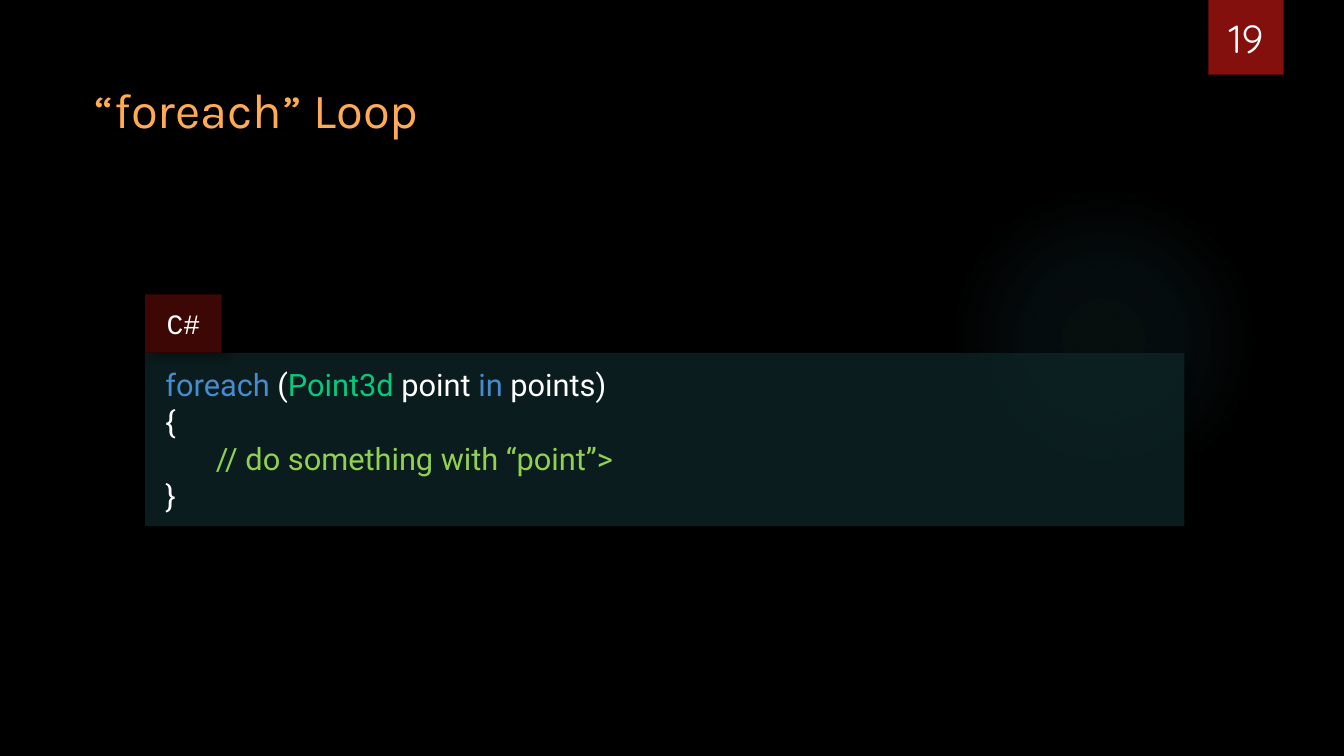
from pptx import Presentation
from pptx import util as u
from pptx.dml.color import RGBColor
from pptx.enum import shapes, text
from pptx.oxml import parse_xml
from pptx.oxml.ns import qn

NS = 'xmlns:a="http://schemas.openxmlformats.org/drawingml/2006/main"'
WHITE, BLUE, TEAL, LIME = "FFFFFF", "468BCE", "04CA7D", "92D050"
PAD = (0.51, 0.3)
CODE = [
    [("foreach", BLUE), (" (", WHITE), ("Point3d", TEAL), (" point ", WHITE),
     ("in", BLUE), (" points)", WHITE)],
    [("{", WHITE)],
    [("\t", WHITE), ("// do something with “point”>", LIME)],
    [("}", WHITE)],
]


def rgb(code):
    """Turn a hex string into a colour."""
    return RGBColor.from_string(code)


def style(run, face, size, color):
    """Set the font of one run."""
    run.font.name, run.font.size = face, u.Pt(size)
    run.font.color.rgb = rgb(color)


def place(shape, box):
    """Move a shape to a box given in centimetres."""
    shape.left, shape.top, shape.width, shape.height = map(u.Cm, box)


def shade(shape, alpha, blur, dist, angle):
    """Give a shape a soft black shadow."""
    shape._element.spPr.append(parse_xml(
        f'<a:effectLst {NS}><a:outerShdw blurRad="{u.Pt(blur)}" dist="{u.Pt(dist)}"'
        f' dir="{angle * 60000}" algn="t" rotWithShape="0"><a:srgbClr val="000000">'
        f'<a:alpha val="{alpha * 1000}"/></a:srgbClr></a:outerShdw></a:effectLst>'))


def block(slide, box, color, alpha=100, shadow=(40, 6, 6, 45)):
    """Draw a plain shaded rectangle."""
    rect = slide.shapes.add_shape(shapes.MSO_SHAPE.RECTANGLE, *map(u.Cm, box))
    rect.fill.solid()
    rect.fill.fore_color.rgb = rgb(color)
    rect.line.fill.background()
    if alpha < 100:
        tint = rect._element.spPr.find(qn("a:solidFill"))[0]
        tint.append(parse_xml(f'<a:alpha {NS} val="{alpha * 1000}"/>'))
    shade(rect, *shadow)
    return rect


def inset(frame):
    """Set the inner margins of a code block."""
    frame.margin_left = frame.margin_right = u.Cm(PAD[0])
    frame.margin_top = frame.margin_bottom = u.Cm(PAD[1])
    frame.vertical_anchor = text.MSO_ANCHOR.MIDDLE


def glow(slide, box):
    """Draw the faint round light."""
    disc = slide.shapes.add_shape(shapes.MSO_SHAPE.OVAL, *map(u.Cm, box))
    disc.shadow.inherit = False
    disc.line.fill.background()
    stops = "".join(
        f'<a:gs pos="{pos * 1000}"><a:srgbClr val="50B9C1">'
        f'<a:alpha val="{alpha * 1000}"/></a:srgbClr></a:gs>'
        for pos, alpha in ((0, 7), (36, 6), (69, 0)))
    disc._element.spPr.find(qn("a:prstGeom")).addnext(parse_xml(
        f'<a:gradFill {NS}><a:gsLst>{stops}</a:gsLst><a:path path="circle">'
        '<a:fillToRect l="50000" t="50000" r="50000" b="50000"/></a:path></a:gradFill>'))


def badge(slide, box, number):
    """Draw the red page mark with its number."""
    left, top, width, height = box
    block(slide, box, "84100E", shadow=(45, 3, 2, 90))
    area = (left - 0.22, top, width + 0.44, height - 0.2)
    frame = slide.shapes.add_textbox(*map(u.Cm, area)).text_frame
    frame.word_wrap = True
    frame.vertical_anchor = text.MSO_ANCHOR.BOTTOM
    frame.text = number
    line = frame.paragraphs[0]
    line.alignment = text.PP_ALIGN.CENTER
    style(line.runs[0], "Quicksand", 28, WHITE)


def head(slide, box, words):
    """Fill and format the title."""
    title = slide.shapes.title
    place(title, box)
    frame = title.text_frame
    frame.text = words
    frame.word_wrap = False
    frame.auto_size = text.MSO_AUTO_SIZE.NONE
    frame.vertical_anchor = text.MSO_ANCHOR.TOP
    line = frame.paragraphs[0]
    line.alignment = text.PP_ALIGN.LEFT
    style(line.runs[0], "Karla", 35, "FFAA55")


def code(slide, box, lines, name):
    """Draw a code panel with its language tab on top."""
    left, top, width, height = box
    frame = block(slide, box, "0F282A", 70).text_frame
    inset(frame)
    frame.word_wrap = True
    for i, parts in enumerate(lines):
        line = frame.add_paragraph() if i else frame.paragraphs[0]
        line.alignment = text.PP_ALIGN.LEFT
        line._p.get_or_add_pPr().append(parse_xml(
            f'<a:tabLst {NS}><a:tab pos="{u.Cm(1.27)}" algn="l"/></a:tabLst>'))
        for words, color in parts:
            run = line.add_run()
            run.text = words
            style(run, "Roboto", 22, color)
    tag = block(slide, (left, top - 1.47, 1.93, 1.47), "580A09", 70).text_frame
    inset(tag)
    tag.word_wrap = False
    tag.text = name
    tag.paragraphs[0].alignment = text.PP_ALIGN.CENTER
    style(tag.paragraphs[0].runs[0], "Courier New", 20, WHITE)


def main():
    """Build and save the slide."""
    deck = Presentation()
    deck.slide_width, deck.slide_height = u.Cm(33.87), u.Cm(19.05)
    slide = deck.slides.add_slide(deck.slide_layouts[5])
    slide.background.fill.solid()
    slide.background.fill.fore_color.rgb = rgb("000000")
    glow(slide, (23.9, 4.65, 7.82, 7.82))
    badge(slide, (30.45, 0, 1.9, 1.88), "19")
    head(slide, (2.13, 1.88, 8.89, 1.75), "“foreach” Loop")
    code(slide, (3.66, 8.89, 26.19, 4.37), CODE, "C#")
    deck.save("out.pptx")


if __name__ == "__main__":
    main()
